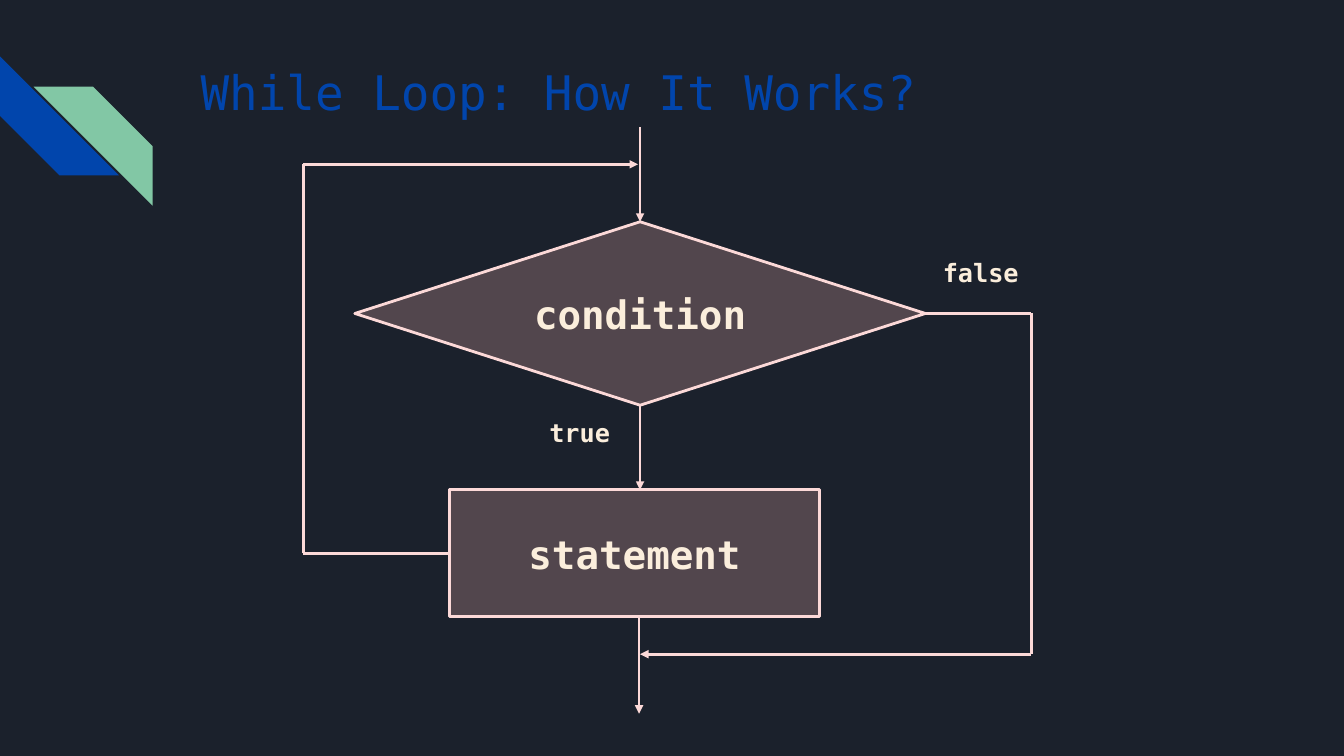
from lxml import etree
from pptx import Presentation
from pptx.dml.color import RGBColor
from pptx.enum.shapes import MSO_CONNECTOR, MSO_SHAPE
from pptx.enum.text import MSO_ANCHOR, MSO_AUTO_SIZE, PP_ALIGN
from pptx.oxml.ns import qn
from pptx.util import Inches, Pt

NAVY = RGBColor(0x1B, 0x21, 0x2C)
BLUE = RGBColor(0x01, 0x45, 0xAC)
GREEN = RGBColor(0x82, 0xC7, 0xA5)
ROSE = RGBColor(0xFA, 0xB6, 0xB3)
PINK = RGBColor(0xFC, 0xD9, 0xD8)
CREAM = RGBColor(0xFB, 0xEE, 0xDC)
FONT = "DejaVu Sans Mono"
STRIPE = MSO_SHAPE.DIAGONAL_STRIPE
DIAMOND = MSO_SHAPE.FLOWCHART_DECISION
RECT = MSO_SHAPE.RECTANGLE
STRAIGHT = MSO_CONNECTOR.STRAIGHT
CENTER, LEFT = PP_ALIGN.CENTER, PP_ALIGN.LEFT
MIDDLE, BOTTOM, TOP = MSO_ANCHOR.MIDDLE, MSO_ANCHOR.BOTTOM, MSO_ANCHOR.TOP
NO_FIT = MSO_AUTO_SIZE.NONE

COLS, ROWS = 160, 90
WIDE, HIGH = Inches(13.33), Inches(7.5)


def place(box, x, y, w, h):
    left, top = box
    return (round((left + x) * WIDE / COLS), round((top + y) * HIGH / ROWS),
            round(w * WIDE / COLS), round(h * HIGH / ROWS))


def write(shape, text, size, color, bold, align, anchor):
    frame = shape.text_frame
    frame.text = text
    frame.word_wrap = True
    frame.auto_size = NO_FIT
    frame.vertical_anchor = anchor
    line = frame.paragraphs[0]
    line.alignment = align
    font = line.runs[0].font
    font.name, font.size, font.bold = FONT, Pt(size), bold
    font.color.rgb = color


def add_label(slide, box, text, *spot):
    label = slide.shapes.add_textbox(*place(box, *spot))
    write(label, text, 18, CREAM, True, CENTER, TOP)


def add_node(slide, box, kind, text, *spot):
    node = slide.shapes.add_shape(kind, *place(box, *spot))
    node.shadow.inherit = False
    node.fill.solid()
    node.fill.fore_color.rgb = ROSE
    color = node.fill._xPr.find(qn("a:solidFill"))[0]
    etree.SubElement(color, qn("a:alpha"), val="25000")
    node.line.color.rgb = PINK
    node.line.width = Pt(2)
    write(node, text, 28, CREAM, True, CENTER, MIDDLE)
    return node


def add_line(slide, box, start, end, arrow=False):
    x1, y1 = place(box, *start, 0, 0)[:2]
    x2, y2 = place(box, *end, 0, 0)[:2]
    line = slide.shapes.add_connector(STRAIGHT, x1, y1, x2, y2)
    line.line.color.rgb = PINK
    line.line.width = Pt(2)
    if arrow:
        etree.SubElement(line.line._get_or_add_ln(), qn("a:tailEnd"),
                         type="triangle")
    etree.SubElement(line._element.spPr, qn("a:effectLst"))
    return line


def add_stripes(slide, box):
    side = 14.16
    for x, y, turn, color in ((0, 0, 270, BLUE), (4, 3.6, 90, GREEN)):
        stripe = slide.shapes.add_shape(STRIPE, *place(box, x, y, side, side))
        stripe.shadow.inherit = False
        stripe.adjustments[0] = 0.5
        stripe.rotation = turn
        stripe.fill.solid()
        stripe.fill.fore_color.rgb = color
        stripe.line.fill.background()


def add_title(slide, box):
    title = slide.shapes.title
    title.left, title.top, title.width, title.height = place(
        box, 0, 0, 123.12, 8.16)
    write(title, "While Loop: How It Works?", 34, BLUE, False, LEFT, BOTTOM)
    title.text_frame.paragraphs[0].line_spacing = 0.9


def add_flow(slide, box):
    axis, rail = 40.08, 86.64
    loop, test, step, join, end = 4.44, 22.2, 50.76, 62.76, 69.84
    gate = add_node(slide, box, DIAMOND, "condition", 6.12, 11.28, 67.92, 21.84)
    task = add_node(slide, box, RECT, "statement", 17.4, 43.2, 44.04, 15.12)
    add_label(slide, box, "true", 26.88, 33.96, 12, 4.8)
    add_label(slide, box, "false", 73.08, 14.88, 15.12, 4.8)

    add_line(slide, box, (axis, 0), (axis, 11.28), True).end_connect(gate, 0)
    add_line(slide, box, (axis, 33.12), (axis, 43.2), True).begin_connect(gate, 2)
    add_line(slide, box, (axis - 0.12, 58.32), (axis - 0.12, end), True)

    add_line(slide, box, (74.04, test), (rail, test)).begin_connect(gate, 3)
    add_line(slide, box, (rail, test), (rail, join))
    add_line(slide, box, (rail, join), (axis, join), True)

    add_line(slide, box, (17.4, step), (0, step)).begin_connect(task, 1)
    add_line(slide, box, (0, step), (0, loop))
    add_line(slide, box, (0, loop), (axis - 0.24, loop), True)


def main():
    deck = Presentation()
    deck.slide_width, deck.slide_height = WIDE, HIGH
    slide = deck.slides.add_slide(deck.slide_layouts[5])
    slide.background.fill.solid()
    slide.background.fill.fore_color.rgb = NAVY
    add_stripes(slide, (0, 6.72))
    add_title(slide, (22.68, 6.84))
    add_flow(slide, (36.12, 15.12))
    deck.save("out.pptx")


if __name__ == "__main__":
    main()
